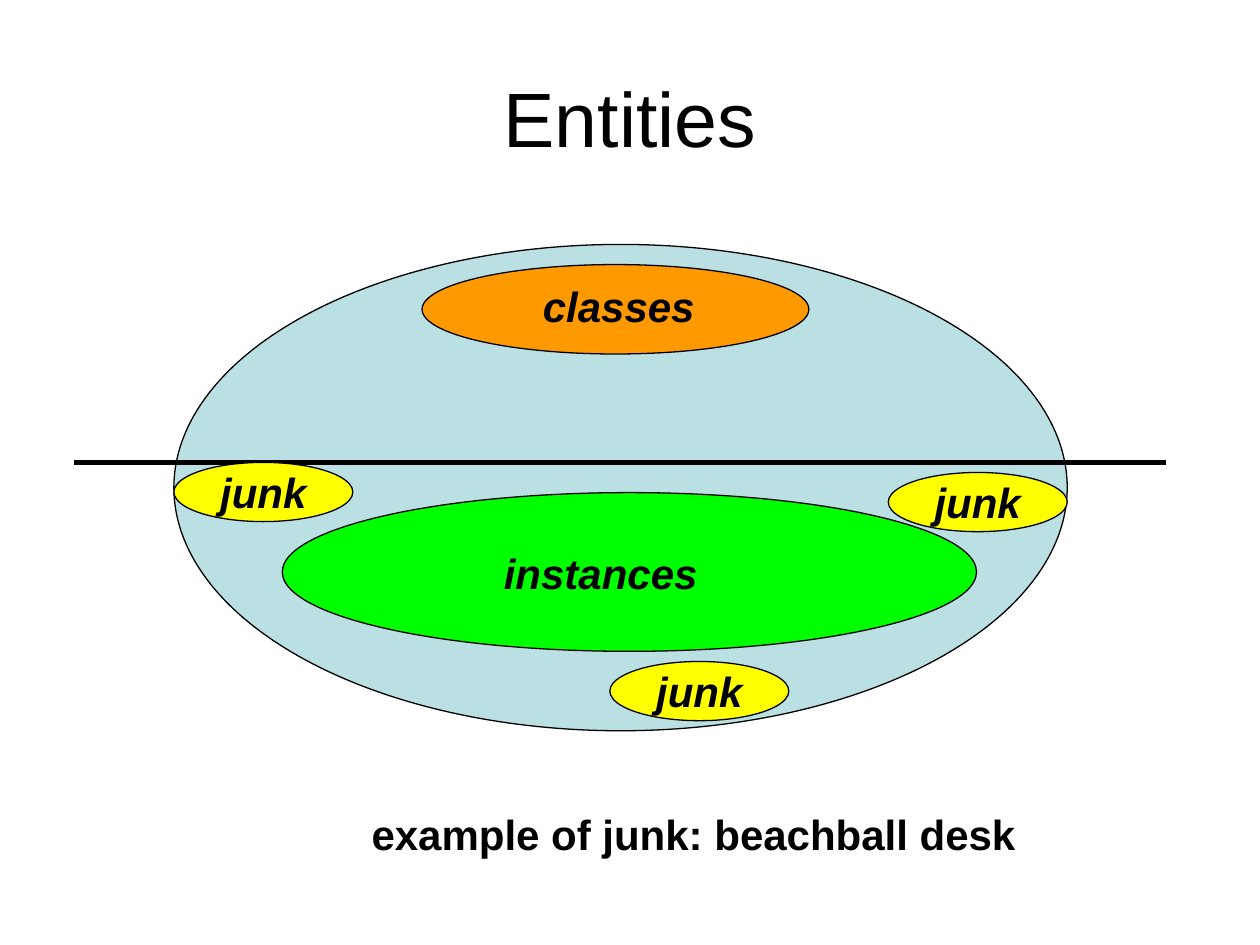
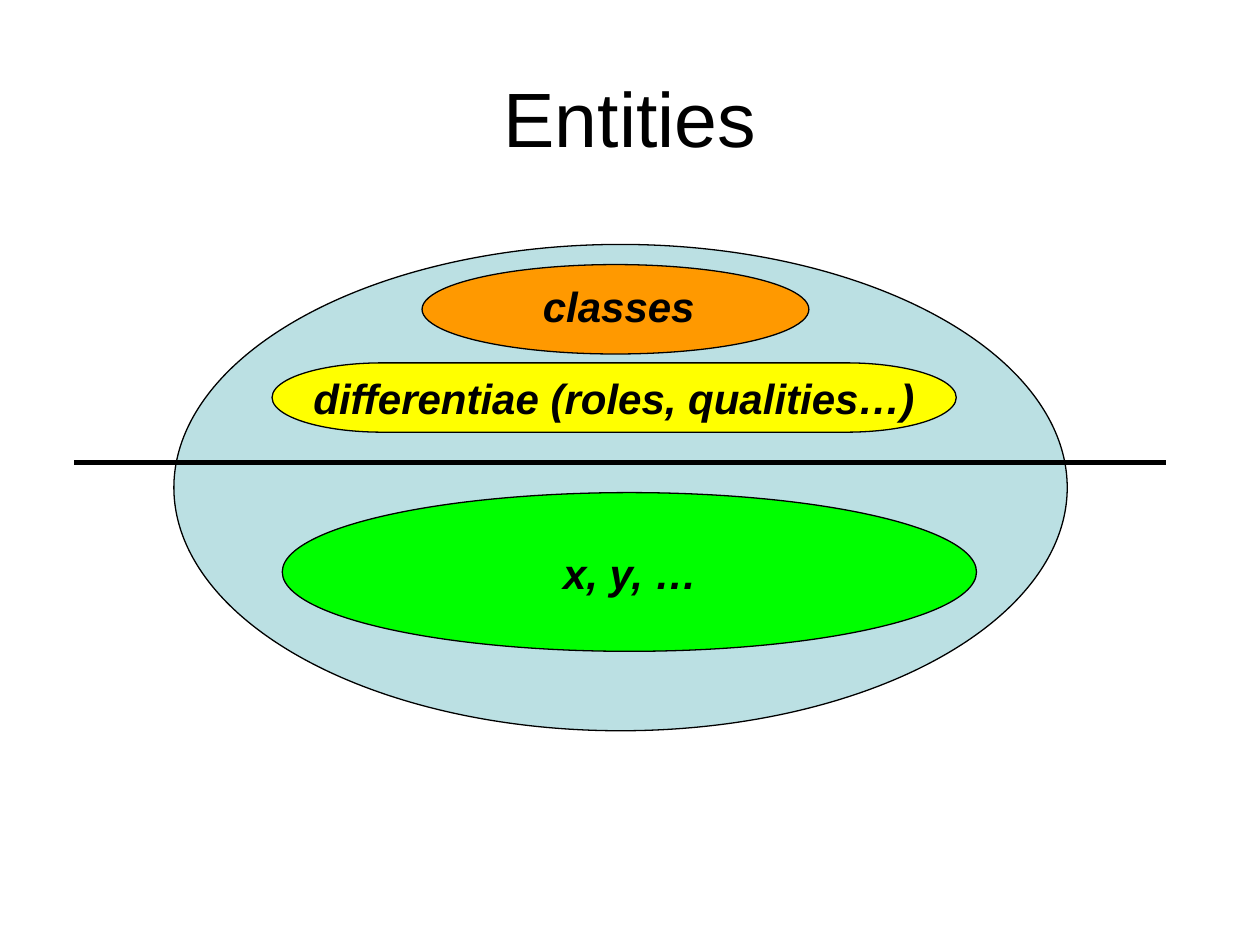
import pptx
import pptx.util
import pptx.dml.color
import pptx.enum.shapes
import pptx.enum.text
import pptx.oxml.ns
import lxml.etree

SCALE = 9144
HUES = {
    "ink": "000000",
    "world": "BBE0E3",
    "class": "FF9900",
    "case": "00FF00",
    "mark": "FFFF00",
}
KINDS = pptx.enum.shapes.MSO_SHAPE
ALIGN = pptx.enum.text.PP_ALIGN
ANCHOR = pptx.enum.text.MSO_ANCHOR
HEAD = {"name": "Arial", "size": pptx.util.Pt(44), "bold": False}
BOLD = {"name": "Arial", "size": pptx.util.Pt(24), "bold": True}
TERM = {**BOLD, "italic": True}


def emu(*sizes):
    """Turn px lengths into EMU."""
    return [size * SCALE for size in sizes]


def hue(name):
    """Give the named colour."""
    return pptx.dml.color.RGBColor.from_string(HUES[name])


def write(shape, text, style, align, anchor, wrap):
    """Put one formatted paragraph in a shape."""
    frame = shape.text_frame
    frame.text = text
    frame.word_wrap = wrap
    frame.vertical_anchor = anchor
    line = frame.paragraphs[0]
    line.alignment = align
    for key, value in style.items():
        setattr(line.font, key, value)
    line.font.color.rgb = hue("ink")


def title(slide, text):
    """Place and fill the slide title."""
    shape = slide.shapes.title
    names = ("left", "top", "width", "height")
    for name, value in zip(names, emu(50, 30, 900, 125)):
        setattr(shape, name, value)
    write(shape, text, HEAD, ALIGN.CENTER, ANCHOR.MIDDLE, True)


def blob(slide, box, fill, text="", kind=KINDS.OVAL):
    """Draw an outlined shape with an optional centred term."""
    shape = slide.shapes.add_shape(kind, *emu(*box))
    shape.shadow.inherit = False
    shape.fill.solid()
    shape.fill.fore_color.rgb = hue(fill)
    shape.line.color.rgb = hue("ink")
    shape.line.width = pptx.util.Pt(0.75)
    if text:
        write(shape, text, TERM, ALIGN.CENTER, ANCHOR.MIDDLE, False)


def label(slide, box, text, style=TERM, wrap=True):
    """Add a left-aligned text box."""
    shape = slide.shapes.add_textbox(*emu(*box))
    write(shape, text, style, ALIGN.LEFT, ANCHOR.TOP, wrap)
    shape.text_frame.auto_size = pptx.enum.text.MSO_AUTO_SIZE.SHAPE_TO_FIT_TEXT


def rule(slide, ends):
    """Draw the thick dividing line."""
    line = slide.shapes.add_connector(
        pptx.enum.shapes.MSO_CONNECTOR.STRAIGHT, *emu(*ends))
    line.line.color.rgb = hue("ink")
    line.line.width = pptx.util.Pt(3.25)
    lxml.etree.SubElement(
        line._element.spPr, pptx.oxml.ns.qn("a:effectLst"))


def scene(deck, case, left):
    """Add a slide with the shared diagram of classes over instances."""
    slide = deck.slides.add_slide(deck.slide_layouts[5])
    title(slide, "Entities")
    blob(slide, (138, 194, 709, 386), "world")
    rule(slide, (925, 367, 59, 367))
    blob(slide, (335, 210, 307, 71), "class")
    label(slide, (421, 218, 142, 50), "classes")
    blob(slide, (224, 391, 551, 126), "case")
    label(slide, (left, 430, 205, 50), case)
    return slide


def main():
    """Build and save both slides."""
    deck = pptx.Presentation()
    deck.slide_width, deck.slide_height = emu(1000, 750)

    slide = scene(deck, "instances", 390)
    for left, top in ((705, 375), (138, 367), (484, 525)):
        blob(slide, (left, top, 142, 47), "mark", "junk")
    label(slide, (285, 637, 531, 50),
          "example of junk: beachball desk", BOLD, False)

    slide = scene(deck, "x, y, …", 437)
    blob(slide, (216, 288, 543, 55), "mark",
         "differentiae (roles, qualities…)", KINDS.FLOWCHART_TERMINATOR)

    deck.save("out.pptx")


if __name__ == "__main__":
    main()
